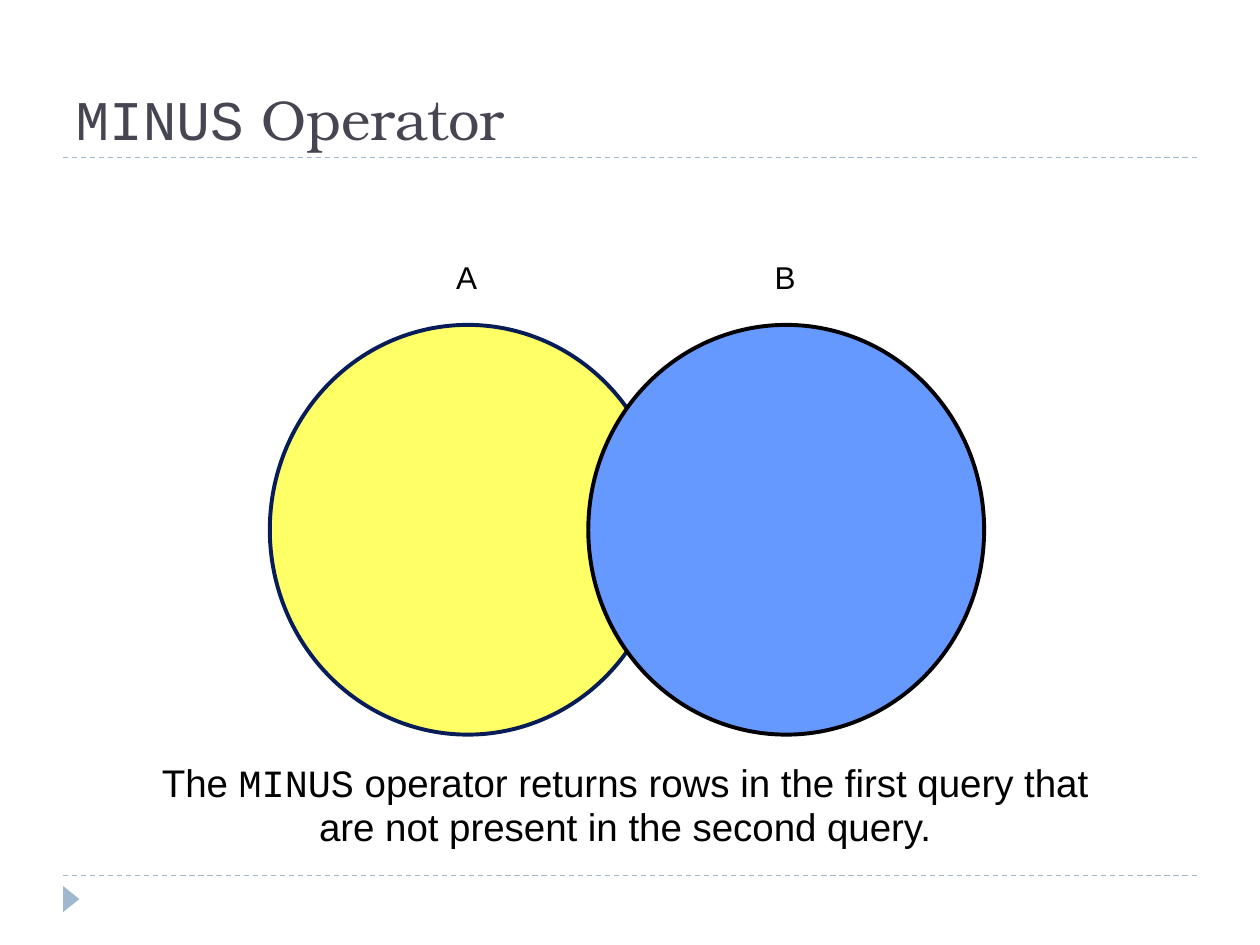
import pptx
import pptx.util
import pptx.dml.color
import pptx.enum.dml
import pptx.enum.shapes
import pptx.enum.text
import pptx.oxml
from pptx.util import Cm, Pt

COLORS = {
    "title": "464653", "accent": "9FB8CD", "text": "000000",
    "first": "FFFF66", "first_line": "081D58",
    "second": "6699FF", "second_line": "000000",
}
SANS, MONO, SERIF = "Arial", "Courier New", "TeX Gyre Bonum"
SHAPE = pptx.enum.shapes.MSO_SHAPE
ALIGN = pptx.enum.text.PP_ALIGN
AUTO = pptx.enum.text.MSO_AUTO_SIZE


def rgb(name):
    return pptx.dml.color.RGBColor.from_string(COLORS[name])


def add_runs(p, parts, size, color):
    for text, font in parts:
        r = p.add_run()
        r.text = text
        r.font.name = font
        r.font.size = Pt(size)
        r.font.color.rgb = rgb(color)


def add_preset(s, kind, box, fill, line=None):
    sp = s.shapes.add_shape(kind, *map(Cm, box))
    sp.shadow.inherit = False
    sp.fill.solid()
    sp.fill.fore_color.rgb = rgb(fill)
    if line:
        sp.line.color.rgb = rgb(line)
        sp.line.width = Pt(2.25)
    else:
        sp.line.fill.background()
    return sp


def add_rule(s, left, top, width):
    line = s.shapes.add_connector(
        pptx.enum.shapes.MSO_CONNECTOR.STRAIGHT,
        Cm(left), Cm(top), Cm(left + width), Cm(top))
    line.line.color.rgb = rgb("accent")
    line.line.width = Pt(0.75)
    line.line.dash_style = pptx.enum.dml.MSO_LINE.DASH
    line._element.spPr.append(pptx.oxml.parse_xml(
        '<a:effectLst xmlns:a="http://schemas.openxmlformats.org/drawingml/2006/main"/>'))


def add_title(s, left, top, width, height):
    sp = s.shapes.title
    sp.left, sp.top, sp.width, sp.height = map(Cm, (left, top, width, height))
    tf = sp.text_frame
    tf.auto_size = AUTO.NONE
    tf.vertical_anchor = pptx.enum.text.MSO_ANCHOR.BOTTOM
    p = tf.paragraphs[0]
    p.alignment = ALIGN.LEFT
    add_runs(p, [("MINUS", MONO), (" Operator", SERIF)], 32, "title")
    add_rule(s, left, top + height, width)


def add_footer(s, left, top, width):
    add_rule(s, left, top, width)
    # Marker: an upward triangle turned to point right
    marker = add_preset(s, SHAPE.ISOSCELES_TRIANGLE,
                        (left - 0.1, top + 0.31, 0.53, 0.33), "accent")
    marker.rotation = 90


def add_venn(s, left, top, width, height):
    diameter_x, diameter_y = 7.98, 8.26
    label_w, label_h = 0.97, 1.02
    step = width - diameter_x
    for i, (name, key) in enumerate([("A", "first"), ("B", "second")]):
        x = left + i * step
        add_preset(s, SHAPE.OVAL,
                   (x, top + height - diameter_y, diameter_x, diameter_y),
                   key, key + "_line")
        label = s.shapes.add_textbox(Cm(x + (diameter_x - label_w) / 2), Cm(top),
                                     Cm(label_w), Cm(label_h))
        tf = label.text_frame
        tf.word_wrap = False
        tf.auto_size = AUTO.SHAPE_TO_FIT_TEXT
        add_runs(tf.paragraphs[0], [(name, SANS)], 18, "text")


def add_caption(s, left, top, width, height):
    tf = s.shapes.add_textbox(*map(Cm, (left, top, width, height))).text_frame
    tf.word_wrap = True
    p = tf.paragraphs[0]
    p.alignment = ALIGN.CENTER
    p.line_spacing = 0.95
    add_runs(p, [
        ("The ", SANS), ("MINUS", MONO),
        (" operator returns rows in the first query that are not present"
         " in the second query.", SANS),
    ], 22, "text")


def main():
    prs = pptx.Presentation()
    prs.slide_width, prs.slide_height = Cm(25.4), Cm(19.05)
    s = prs.slides.add_slide(prs.slide_layouts[5])
    add_footer(s, 1.27, 17.65, 22.86)
    add_title(s, 1.27, 0.64, 22.86, 2.54)
    add_venn(s, 5.44, 5.08, 14.4, 9.73)
    add_caption(s, 2.51, 15.24, 20.19, 3.23)
    prs.save("out.pptx")


if __name__ == "__main__":
    main()
